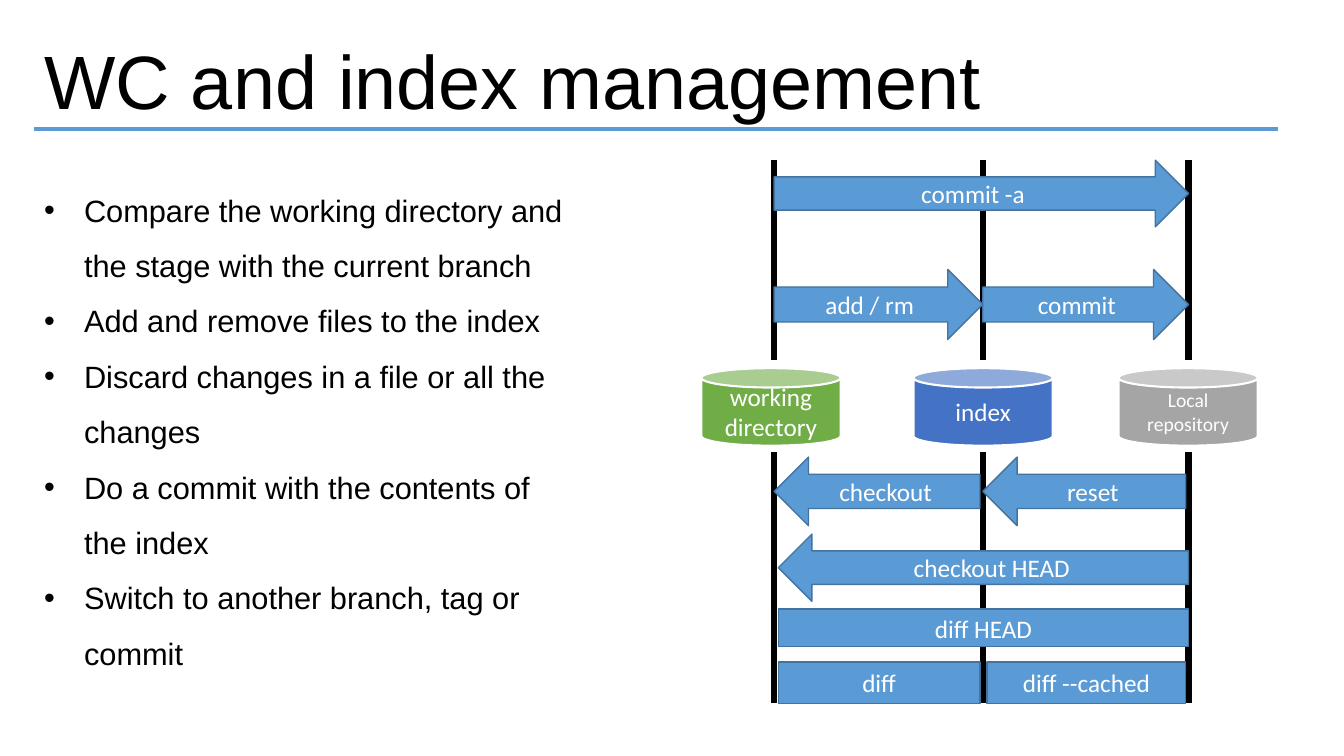
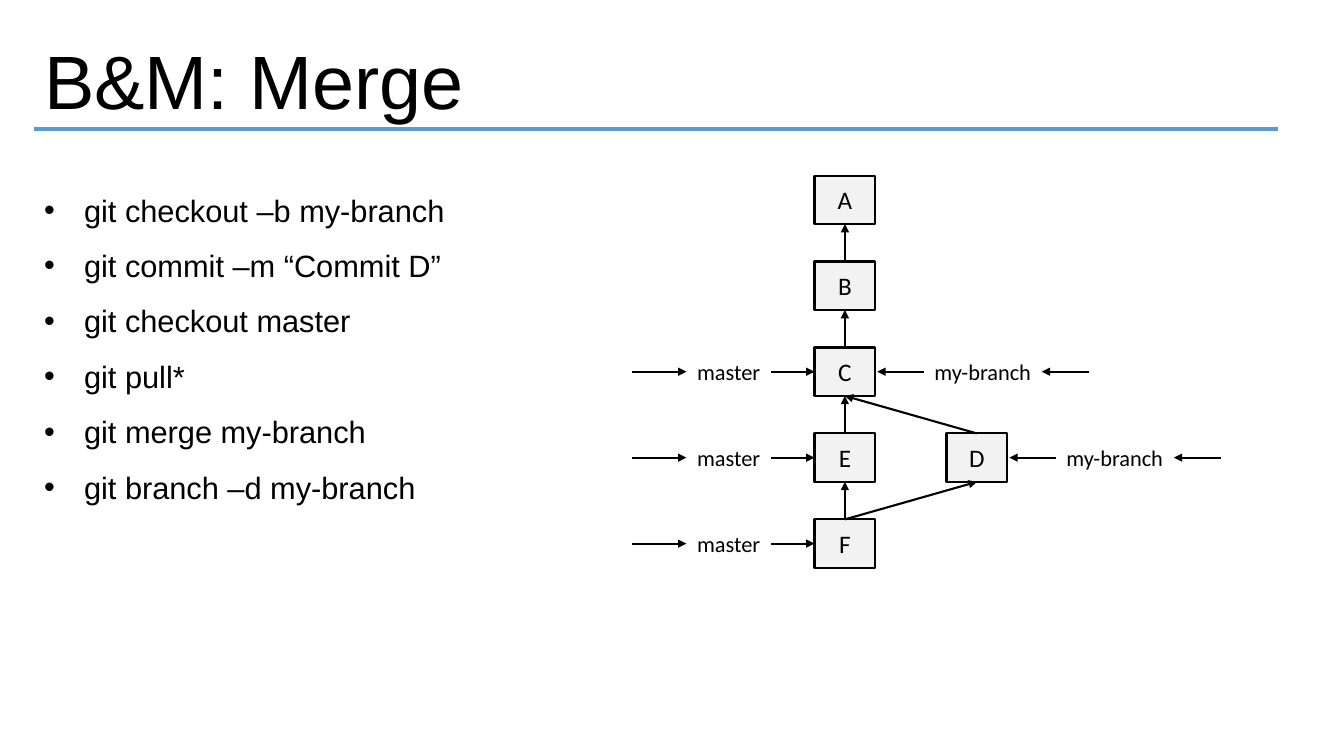
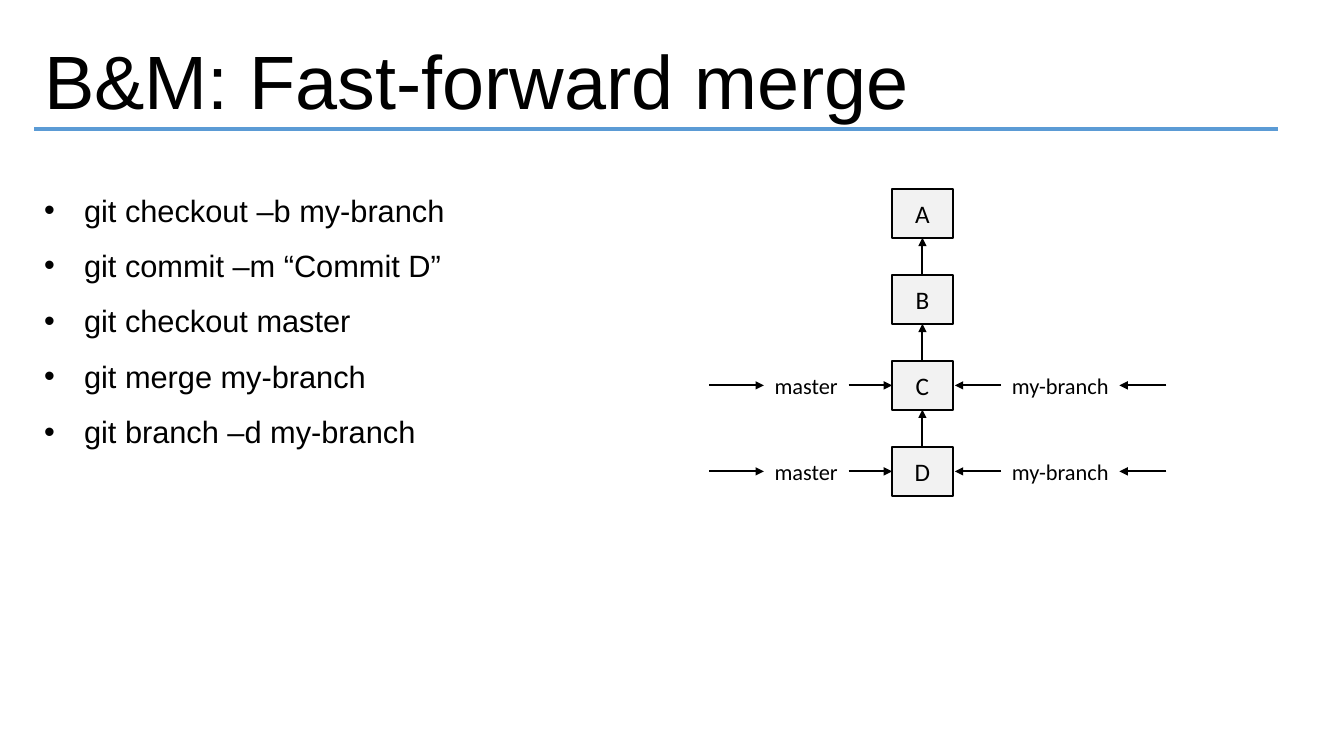
import pptx
import pptx.util
import pptx.dml.color
import pptx.enum.shapes
import pptx.enum.text
import pptx.oxml.ns
from lxml import etree

Pt = pptx.util.Pt
RGB = pptx.dml.color.RGBColor
Form = pptx.enum.shapes.MSO_SHAPE
Line = pptx.enum.shapes.MSO_CONNECTOR
Align = pptx.enum.text.PP_ALIGN
Anchor = pptx.enum.text.MSO_ANCHOR
qn = pptx.oxml.ns.qn

BLACK = RGB(0x00, 0x00, 0x00)
WHITE = RGB(0xFF, 0xFF, 0xFF)
BLUE = RGB(0x5B, 0x9B, 0xD5)
EDGE = RGB(0x43, 0x73, 0x9E)
GREEN = RGB(0x70, 0xAD, 0x47)
ROYAL = RGB(0x44, 0x72, 0xC4)
GRAY = RGB(0xA5, 0xA5, 0xA5)
PALE = RGB(0xF2, 0xF2, 0xF2)

HEAD, BODY = "Arial", "Calibri"
LEFT, WIDE = 24.5, 888.5
TOP, BOTTOM, LEFT_SIDE, RIGHT_SIDE = 0, 2, 1, 3
NODE_W, NODE_H = 43.4, 34.6


def write(para, text, size, font, color):
    """Add the lines of text as runs with line breaks between them."""
    for i, part in enumerate(text.split("\n")):
        if i:
            para.add_line_break()
        run = para.add_run()
        run.text = part
        run.font.size = Pt(size)
        run.font.name = font
        run.font.color.rgb = color


def add_text(slide, x, y, w, h):
    frame = slide.shapes.add_textbox(Pt(x), Pt(y), Pt(w), Pt(h)).text_frame
    frame.word_wrap = True
    return frame


def add_line(slide, x1, y1, x2, y2, color=BLACK, width=1.5, arrow=False):
    line = slide.shapes.add_connector(Line.STRAIGHT, Pt(x1), Pt(y1), Pt(x2), Pt(y2))
    line.line.color.rgb = color
    line.line.width = Pt(width)
    if arrow:
        stroke = line.line._get_or_add_ln()
        etree.SubElement(stroke, qn("a:tailEnd"), type="triangle")
    etree.SubElement(line._element.spPr, qn("a:effectLst"))
    return line


def add_form(slide, form, x, y, w, h, text, fill, edge, width, size=18, color=WHITE):
    """Draw a preset shape with centred text."""
    shape = slide.shapes.add_shape(form, Pt(x), Pt(y), Pt(w), Pt(h))
    shape.shadow.inherit = False
    shape.fill.solid()
    shape.fill.fore_color.rgb = fill
    shape.line.color.rgb = edge
    shape.line.width = Pt(width)
    frame = shape.text_frame
    frame.margin_top = frame.margin_bottom = 0
    frame.vertical_anchor = Anchor.MIDDLE
    para = frame.paragraphs[0]
    para.alignment = Align.CENTER
    write(para, text, size, BODY, color)
    return shape


def add_title(slide, text):
    frame = add_text(slide, LEFT, 21, WIDE, 72.5)
    write(frame.paragraphs[0], text, 54, HEAD, BLACK)
    add_line(slide, LEFT, 92, LEFT + WIDE, 92, BLUE, 3)


def add_list(slide, items):
    count = sum(item.count("\n") + 1 for item in items)
    frame = add_text(slide, LEFT, 120, 427, 7 + 40 * count)
    for i, item in enumerate(items):
        para = frame.add_paragraph() if i else frame.paragraphs[0]
        props = para._p.get_or_add_pPr()
        props.set("marL", str(Pt(28.5)))
        props.set("indent", str(-Pt(28.5)))
        etree.SubElement(props, qn("a:buFont"), typeface=HEAD)
        etree.SubElement(props, qn("a:buChar"), char="•")
        para.line_spacing = 1.5
        write(para, item, 22, HEAD, BLACK)


def draw_flow(slide, left, top):
    """Draw three stores on lifelines, with the commands that run between them."""
    lanes = [left, left + 149, left + 296]
    for x in lanes:
        for start, end in ((0, 143), (208.5, 388)):
            add_line(slide, x, top + start, x, top + end, width=4.5)

    stores = [
        (-52, "working\ndirectory", GREEN, 18),
        (99.5, "index", ROYAL, 18),
        (246, "Local\nrepository", GRAY, 14),
    ]
    for x, name, fill, size in stores:
        add_form(slide, Form.CAN, left + x, top + 148.5, 99.4, 55.4,
                 name, fill, WHITE, 1.5, size)

    right, back, bar = Form.RIGHT_ARROW, Form.LEFT_ARROW, Form.RECTANGLE
    # form, top, height, gap at start, gap at end, (label, lane, lane)
    rows = [
        (right, 0, 47.5, 0, 0, [("commit -a", 0, 2)]),
        (right, 78, 50, 0, 0, [("add / rm", 0, 1), ("commit", 1, 2)]),
        (back, 212, 49, 0, 2, [("checkout", 0, 1), ("reset", 1, 2)]),
        (back, 267, 48, 3, 0, [("checkout HEAD", 0, 2)]),
        (bar, 320.5, 27, 3, 0, [("diff HEAD", 0, 2)]),
        (bar, 358.5, 29.5, 3, 2, [("diff", 0, 1), ("diff --cached", 1, 2)]),
    ]
    for form, y, h, before, after, steps in rows:
        for name, a, b in steps:
            x = lanes[a] + before
            add_form(slide, form, x, top + y, lanes[b] - after - x, h,
                     name, BLUE, EDGE, 1)


def add_ref(slide, node, name, width, side):
    """Place a branch name beside a node, with an arrow on each side of it."""
    sign = 1 if side == RIGHT_SIDE else -1
    near, far, gap = (33, 33.5, 1.5) if sign > 0 else (31, 39, 0)
    edge = node.left.pt + (node.width.pt if sign > 0 else 0) + sign * gap
    y = node.top.pt + node.height.pt / 2
    inner = edge + sign * near
    outer = inner + sign * width
    add_line(slide, inner, y, edge, y, arrow=True)
    add_line(slide, outer + sign * far, y, outer, y, arrow=True)
    frame = add_text(slide, min(inner, outer), y - 13.3, width, 26.6)
    frame.word_wrap = False
    frame.vertical_anchor = Anchor.MIDDLE
    frame.paragraphs[0].alignment = Align.CENTER
    write(frame.paragraphs[0], name, 16, BODY, BLACK)


def draw_tree(slide, left, top, spots, links, masters, topics):
    """Draw commits at (column, row) spots, links to parents and branch names."""
    nodes = {}
    for name, (col, row) in spots.items():
        nodes[name] = add_form(
            slide, Form.RECTANGLE, left + 94.3 * col, top + 61.4 * row,
            NODE_W, NODE_H, name, PALE, BLACK, 1.5, color=BLACK)
    for child, parent in links:
        line = add_line(slide, 0, 0, 0, 0, arrow=True)
        line.begin_connect(nodes[child], TOP)
        line.end_connect(nodes[parent], BOTTOM)
    for name in masters:
        add_ref(slide, nodes[name], "master", 60.5, LEFT_SIDE)
    for name in topics:
        add_ref(slide, nodes[name], "my-branch", 84.5, RIGHT_SIDE)


def main():
    deck = pptx.Presentation()
    deck.slide_width, deck.slide_height = Pt(960), Pt(540)

    def start(title, items):
        slide = deck.slides.add_slide(deck.slide_layouts[6])
        add_title(slide, title)
        add_list(slide, items)
        return slide

    slide = start("WC and index management", [
        "Compare the working directory and\nthe stage with the current branch",
        "Add and remove files to the index",
        "Discard changes in a file or all the\nchanges",
        "Do a commit with the contents of\nthe index",
        "Switch to another branch, tag or commit",
    ])
    draw_flow(slide, 553, 114.5)

    begin = ["git checkout –b my-branch", "git commit –m “Commit D”",
             "git checkout master"]
    finish = ["git merge my-branch", "git branch –d my-branch"]

    slide = start("B&M: Merge", begin + ["git pull*"] + finish)
    spots = {name: (0, row) for row, name in enumerate("ABCEF")}
    spots["D"] = (1, 3)
    draw_tree(slide, 581.8, 125.4, spots,
              ["BA", "CB", "EC", "FE", "DC", "FD"], "CEF", "CD")

    slide = start("B&M: Fast-forward merge", begin + finish)
    spots = {name: (0, row) for row, name in enumerate("ABCD")}
    draw_tree(slide, 637.2, 135.2, spots, ["BA", "CB", "DC"], "CD", "CD")

    deck.save("out.pptx")


if __name__ == "__main__":
    main()
